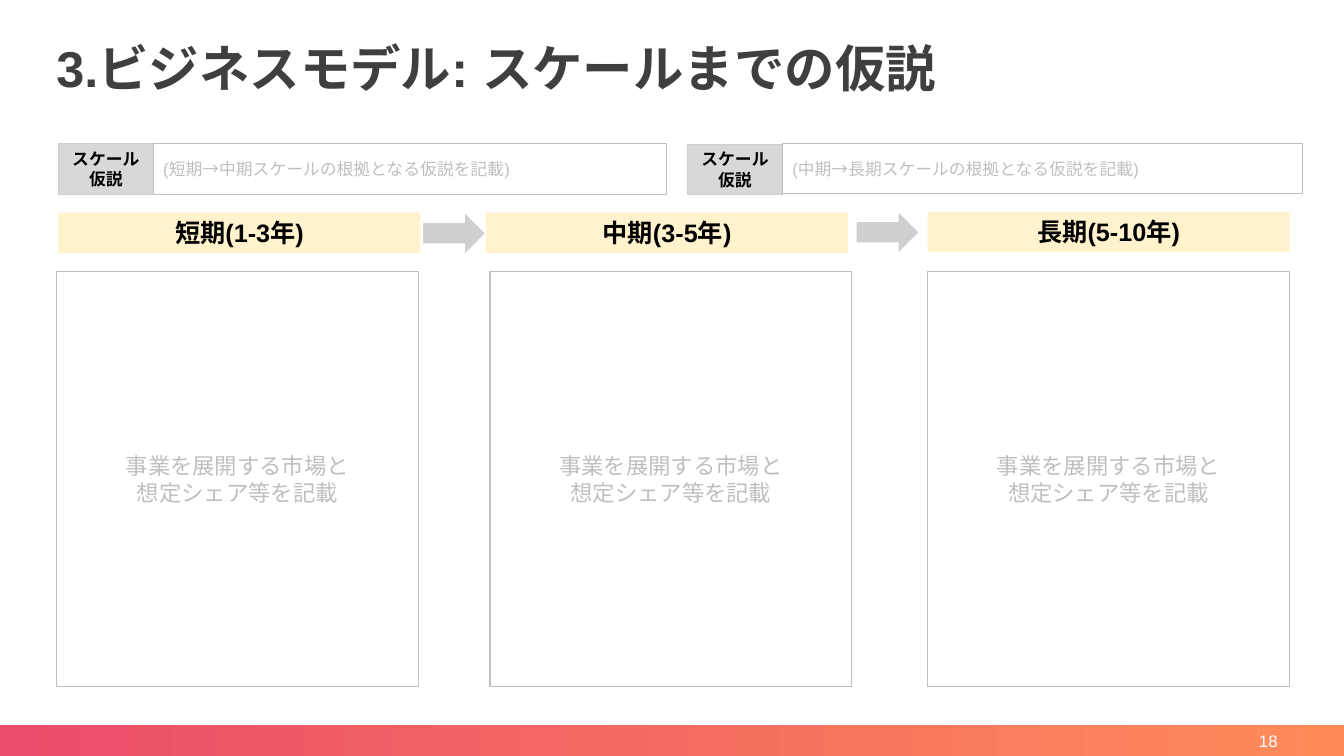
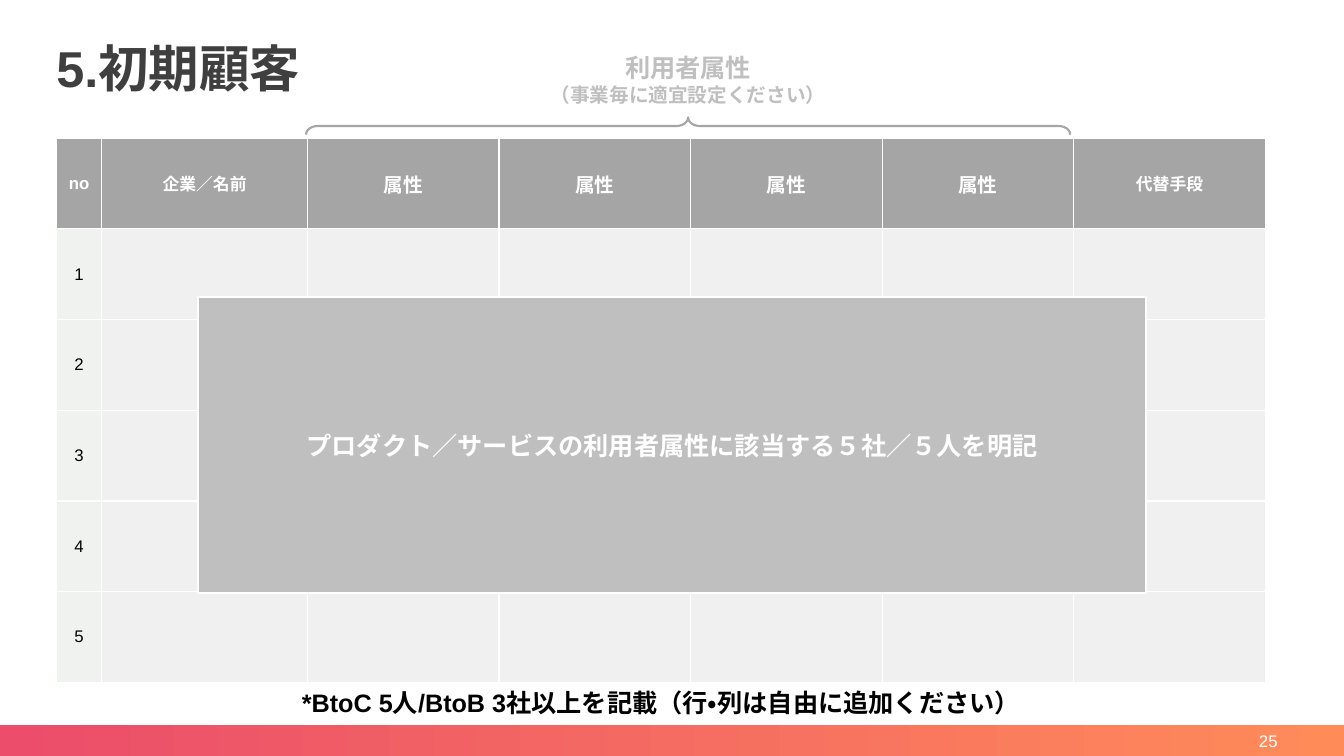
"""Build the scale hypothesis and first customer slides."""
from lxml import etree
from pptx import Presentation
from pptx.dml.color import RGBColor
from pptx.enum import lang, shapes, text
from pptx.oxml.ns import qn
from pptx.util import Inches, Pt

FONT = "Arial"
COLORS = {
    "title": "3F3F3F", "black": "000000", "white": "FFFFFF", "hint": "BFBFBF",
    "cream": "FFF2CC", "label": "D8D8D8", "arrow": "D0CECE", "header": "A5A5A5",
    "number": "F0F2F0", "body": "F0F0F0", "pink": "EB4D6A", "orange": "FF8B59",
}
SHAPE = shapes.MSO_SHAPE
ALIGN = text.PP_ALIGN
ANCHOR = text.MSO_ANCHOR

MARKET_HINT = ["事業を展開する市場と", "想定シェア等を記載"]
PERIODS = [
    ("短期(1-3年)", 0.58, 2.11, 0.56),
    ("中期(3-5年)", 4.82, 2.11, 4.86),
    ("長期(5-10年)", 9.2, 2.1, 9.2),
]
PERIOD_WIDTH = 3.59
HYPOTHESES = [
    (["スケール仮説"], "(短期→中期スケールの根拠となる仮説を記載)", 0.58, 1.42, 5.09, 0.51),
    (["スケール", "仮説"], "(中期→長期スケールの根拠となる仮説を記載)", 6.82, 1.43, 5.16, 0.5),
]
LABEL_WIDTH = 0.94
ARROWS = [(4.19, 2.1), (8.49, 2.09)]

COLUMNS = [("no", 0.45, 12), ("企業／名前", 2.04, 12)] + [("属性", 1.9, 14)] * 4 + [("代替手段", 1.9, 12)]
CUSTOMERS = 5
ROW_HEIGHT = 0.9


def rgb(name):
    return RGBColor.from_string(COLORS[name])


def write(tf, lines, size, color, bold=False, align=ALIGN.CENTER, anchor=ANCHOR.MIDDLE):
    tf.word_wrap = True
    tf.vertical_anchor = anchor
    sizes = size if isinstance(size, list) else [size] * len(lines)
    for i, (line, points) in enumerate(zip(lines, sizes)):
        p = tf.add_paragraph() if i else tf.paragraphs[0]
        p.text = line
        p.alignment = align
        p.font.name = FONT
        p.font.size = Pt(points)
        p.font.bold = bold
        p.font.color.rgb = rgb(color)
        p.font.language_id = lang.MSO_LANGUAGE_ID.JAPANESE


def add_text(s, box, lines, size, color, **style):
    tf = s.shapes.add_textbox(*map(Inches, box)).text_frame
    write(tf, lines, size, color, **style)
    return tf


def add_box(s, box, fill=None, line=None, width=0.75, kind=SHAPE.RECTANGLE):
    sp = s.shapes.add_shape(kind, *map(Inches, box))
    sp.shadow.inherit = False
    if fill:
        sp.fill.solid()
        sp.fill.fore_color.rgb = rgb(fill)
    else:
        sp.fill.background()
    if line:
        sp.line.color.rgb = rgb(line)
        sp.line.width = Pt(width)
    else:
        sp.line.fill.background()
    return sp


def add_slide(prs, title, number):
    s = prs.slides.add_slide(prs.slide_layouts[6])
    band = add_box(s, (0, 7.19, 13.33, 0.31))
    band.fill.gradient()
    band.fill.gradient_angle = 0
    for stop, color in zip(band.fill.gradient_stops, ("pink", "orange")):
        stop.color.rgb = rgb(color)
    tf = add_text(s, (0.56, 0.29, 12.2, 0.69), [title], 36, "title",
                  bold=True, align=ALIGN.LEFT, anchor=ANCHOR.BOTTOM)
    tf.margin_left = tf.margin_right = tf.margin_top = tf.margin_bottom = 0
    tf.paragraphs[0].line_spacing = 0.9
    add_text(s, (9.77, 7.18, 3, 0.34), [number], 12, "white", align=ALIGN.RIGHT)
    return s


def style_cell(cell, fill):
    cell.fill.solid()
    cell.fill.fore_color.rgb = rgb(fill)
    cell.vertical_anchor = ANCHOR.MIDDLE
    tc_pr = cell._tc.get_or_add_tcPr()
    for i, side in enumerate(("lnL", "lnR", "lnT", "lnB")):
        border = etree.Element(qn(f"a:{side}"), w=str(Pt(1)))
        solid = etree.SubElement(border, qn("a:solidFill"))
        etree.SubElement(solid, qn("a:srgbClr"), val=COLORS["white"])
        tc_pr.insert(i, border)


def build_scale(prs):
    s = add_slide(prs, "3.ビジネスモデル: スケールまでの仮説", "18")
    for label, hint, left, top, width, height in HYPOTHESES:
        sp = add_box(s, (left, top, LABEL_WIDTH, height), "label", "arrow")
        write(sp.text_frame, label, 12, "black", bold=True)
        sp = add_box(s, (left + LABEL_WIDTH, 1.42, width, height), line="hint")
        write(sp.text_frame, [hint], 12, "hint", align=ALIGN.LEFT)
    for period, left, top, market_left in PERIODS:
        sp = add_box(s, (left, top, PERIOD_WIDTH, 0.4), "cream")
        write(sp.text_frame, [period], 18, "black", bold=True, anchor=ANCHOR.TOP)
        sp = add_box(s, (market_left, 2.69, PERIOD_WIDTH, 4.12), line="hint")
        write(sp.text_frame, MARKET_HINT, 16, "hint")
    for left, top in ARROWS:
        add_box(s, (left, top, 0.63, 0.43), "arrow", "white", 1, SHAPE.RIGHT_ARROW)


def build_customers(prs):
    s = add_slide(prs, "5.初期顧客", "25")
    rows = CUSTOMERS + 1
    total = sum(width for _, width, _ in COLUMNS)
    table = s.shapes.add_table(rows, len(COLUMNS), Inches(0.56), Inches(1.37),
                               Inches(total), Inches(rows * ROW_HEIGHT)).table
    for row in table.rows:
        row.height = Inches(ROW_HEIGHT)
    for c, (name, width, size) in enumerate(COLUMNS):
        table.columns[c].width = Inches(width)
        style_cell(table.cell(0, c), "header")
        write(table.cell(0, c).text_frame, [name], size, "white", bold=True)
        for r in range(1, rows):
            style_cell(table.cell(r, c), "body" if c else "number")
    for r in range(1, rows):
        write(table.cell(r, 0).text_frame, [str(r)], 12, "black")

    add_text(s, (3.49, 0.47, 6.67, 0.64), ["利用者属性", "（事業毎に適宜設定ください）"],
             [18, 14], "hint", bold=True, anchor=ANCHOR.TOP)
    brace = add_box(s, (6.74, -2.54, 0.17, 7.58), line="header", width=1.5, kind=SHAPE.RIGHT_BRACE)
    brace.rotation = 270
    brace.adjustments[0] = 0.68
    add_text(s, (0.56, 6.77, 11.99, 0.4), ["*BtoC 5人/BtoB 3社以上を記載（行・列は自由に追加ください）"],
             18, "black", bold=True, anchor=ANCHOR.TOP)
    sp = add_box(s, (1.96, 2.95, 9.41, 2.93), "hint", "white", 1.5)
    write(sp.text_frame, ["プロダクト／サービスの利用者属性に該当する５社／５人を明記"], 18, "white", bold=True)


def main():
    prs = Presentation()
    prs.slide_width, prs.slide_height = Inches(13.33), Inches(7.5)
    build_scale(prs)
    build_customers(prs)
    prs.save("out.pptx")


if __name__ == "__main__":
    main()
